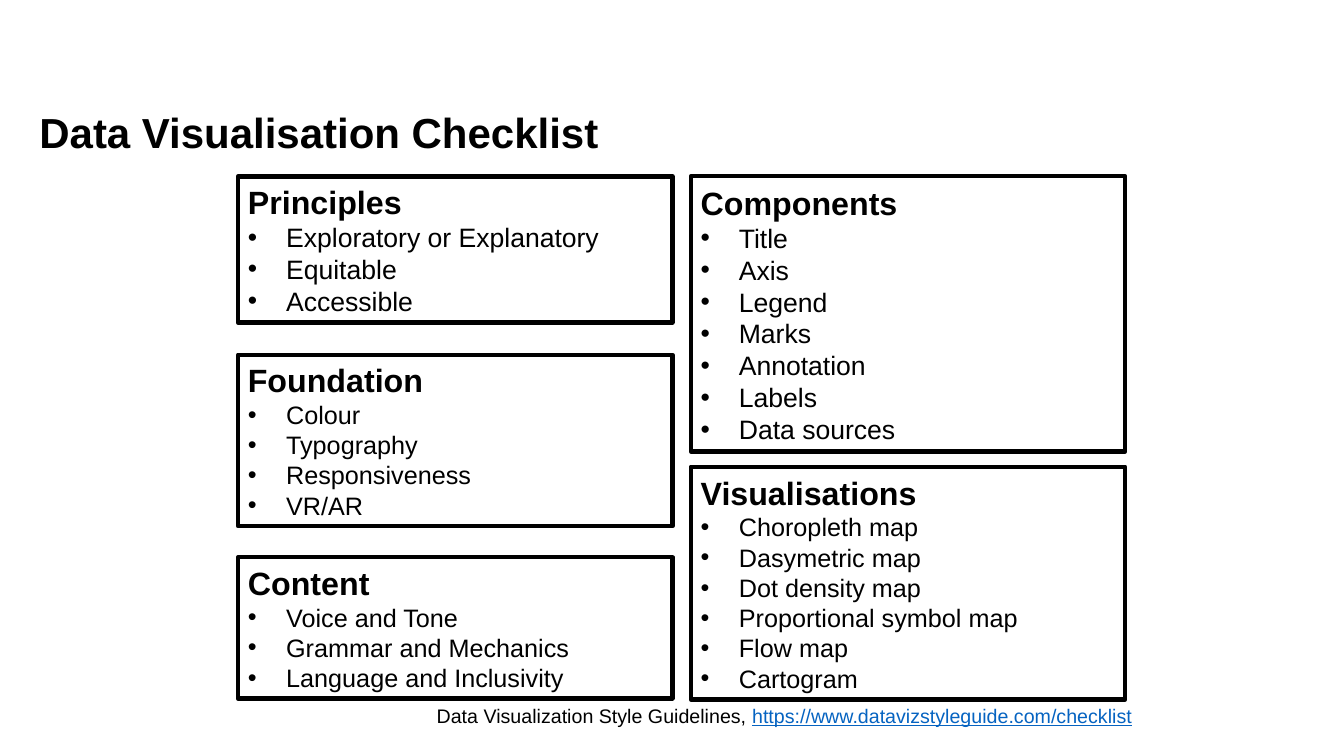
from dataclasses import dataclass

from lxml import etree
from pptx import Presentation
from pptx.dml.color import RGBColor
from pptx.enum import shapes, text
from pptx.oxml.ns import qn
from pptx.util import Inches, Pt


@dataclass(frozen=True)
class Theme:
    font: str = "Arial"
    ink: RGBColor = RGBColor(0, 0, 0)
    paper: RGBColor = RGBColor(255, 255, 255)
    link: RGBColor = RGBColor(0x05, 0x63, 0xC1)
    title: int = 30
    heading: int = 23
    source: int = 14
    border: int = 3


class ChecklistSlide:
    def __init__(self, prs, theme):
        self.theme = theme
        self.slide = prs.slides.add_slide(prs.slide_layouts[5])

    def style(self, r, size, bold=False, color=None):
        r.font.name = self.theme.font
        r.font.size = Pt(size)
        r.font.bold = bold
        r.font.color.rgb = color or self.theme.ink

    def bullet(self, p):
        """Add a hanging bullet to a paragraph."""
        pPr = p._p.get_or_add_pPr()
        pPr.set("marL", str(Inches(0.38)))
        pPr.set("indent", str(-Inches(0.38)))
        etree.SubElement(pPr, qn("a:buFont")).set("typeface", self.theme.font)
        etree.SubElement(pPr, qn("a:buChar")).set("char", "•")

    def title(self, wording):
        sp = self.slide.shapes.title
        sp.left, sp.top = Inches(0.39), Inches(1.07)
        sp.width, sp.height = Inches(8.79), Inches(0.54)
        tf = sp.text_frame
        tf.margin_left = tf.margin_right = tf.margin_top = tf.margin_bottom = 0
        tf.vertical_anchor = text.MSO_ANCHOR.MIDDLE
        tf.text = wording
        p = tf.paragraphs[0]
        p.alignment = text.PP_ALIGN.LEFT
        p.line_spacing = 0.9
        self.style(p.runs[0], self.theme.title, bold=True)

    def card(self, left, top, height, heading, items, size):
        """Draw a bordered box with a heading and a bulleted list."""
        sp = self.slide.shapes.add_shape(
            shapes.MSO_SHAPE.RECTANGLE,
            Inches(left), Inches(top), Inches(4.31), Inches(height))
        sp.shadow.inherit = False
        sp.fill.solid()
        sp.fill.fore_color.rgb = self.theme.paper
        sp.line.color.rgb = self.theme.ink
        sp.line.width = Pt(self.theme.border)
        tf = sp.text_frame
        tf.word_wrap = True
        tf.vertical_anchor = text.MSO_ANCHOR.MIDDLE
        tf.text = "\n".join([heading, *items])
        for i, p in enumerate(tf.paragraphs):
            p.alignment = text.PP_ALIGN.LEFT
            if i:
                self.bullet(p)
            self.style(p.runs[0], size if i else self.theme.heading, bold=not i)

    def source(self, label, address):
        sp = self.slide.shapes.add_textbox(
            Inches(4.23), Inches(6.93), Inches(7.1), Inches(0.34))
        tf = sp.text_frame
        tf.word_wrap = True
        p = tf.paragraphs[0]
        p.alignment = text.PP_ALIGN.RIGHT
        for wording, color in ((label, self.theme.ink), (address, self.theme.link)):
            r = p.add_run()
            r.text = wording
            self.style(r, self.theme.source, color=color)
        r.font.underline = True


LEFT, RIGHT = 2.36, 6.85
CARDS = [
    (LEFT, 1.75, 1.45, "Principles",
     ["Exploratory or Explanatory", "Equitable", "Accessible"], 19),
    (RIGHT, 1.75, 2.73, "Components",
     ["Title", "Axis", "Legend", "Marks", "Annotation", "Labels",
      "Data sources"], 19),
    (LEFT, 3.52, 1.7, "Foundation",
     ["Colour", "Typography", "Responsiveness", "VR/AR"], 18),
    (LEFT, 5.53, 1.4, "Content",
     ["Voice and Tone", "Grammar and Mechanics",
      "Language and Inclusivity"], 18),
    (RIGHT, 4.63, 2.31, "Visualisations",
     ["Choropleth map", "Dasymetric map", "Dot density map",
      "Proportional symbol map", "Flow map", "Cartogram"], 18),
]


def main():
    prs = Presentation()
    prs.slide_width, prs.slide_height = Inches(13.33), Inches(7.5)
    page = ChecklistSlide(prs, Theme())
    page.title("Data Visualisation Checklist")
    for card in CARDS:
        page.card(*card)
    page.source("Data Visualization Style Guidelines, ",
                "https://www.datavizstyleguide.com/checklist")
    prs.save("out.pptx")


if __name__ == "__main__":
    main()
